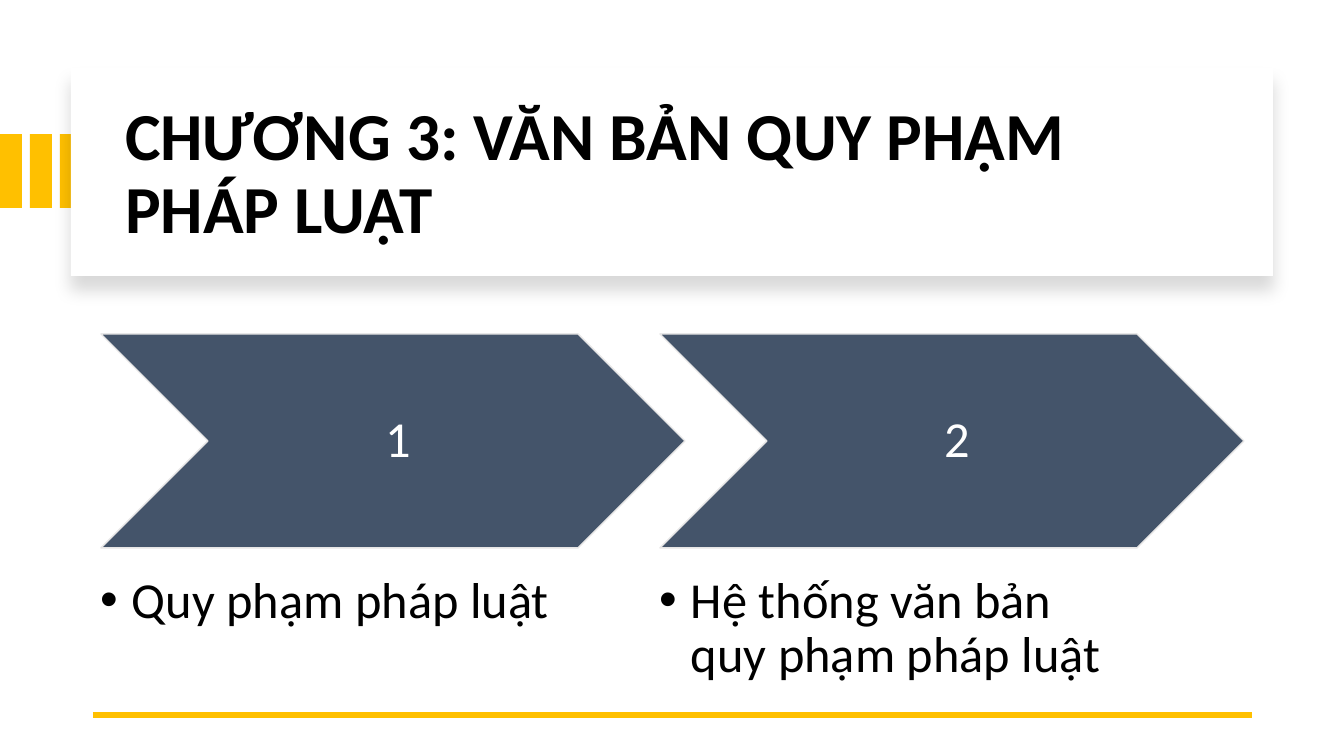
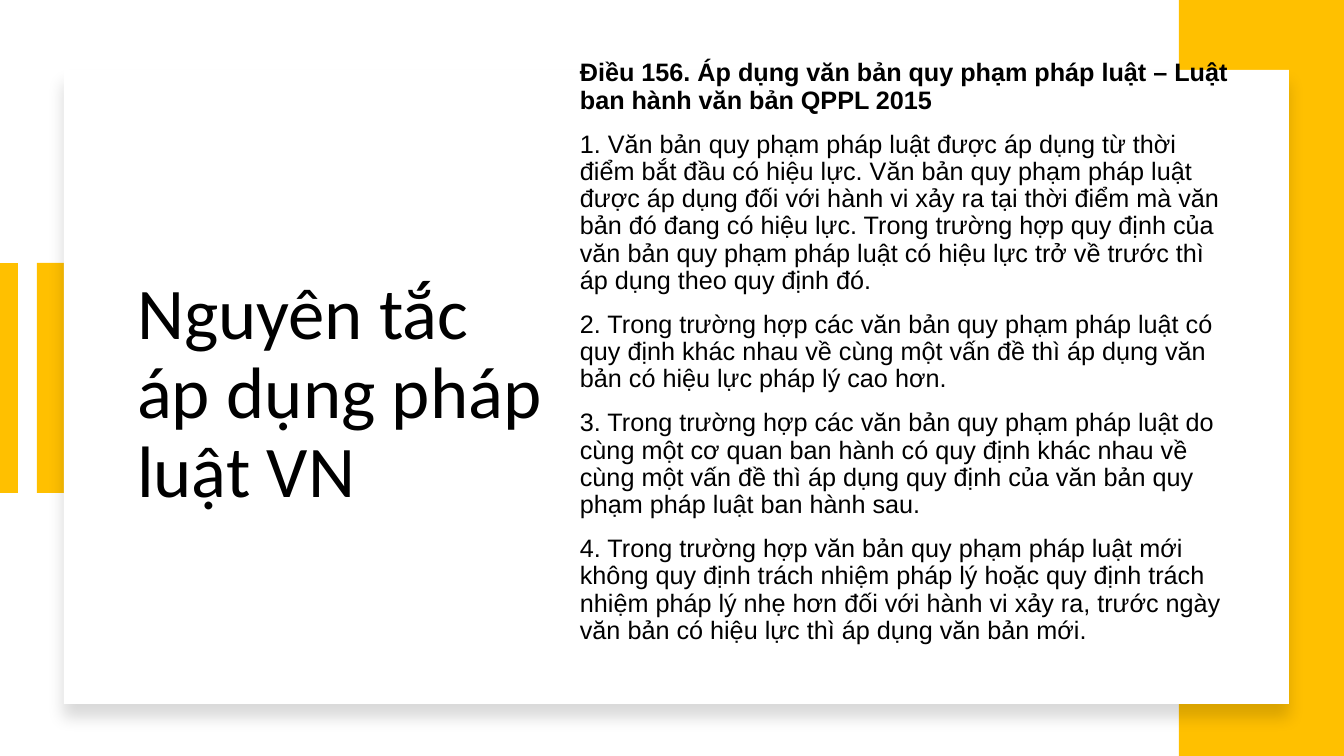
from lxml.etree import SubElement
from pptx import Presentation
from pptx.dml.color import RGBColor
from pptx.enum.shapes import MSO_CONNECTOR as LINK, MSO_SHAPE as SHAPE
from pptx.enum.text import MSO_ANCHOR as ANCHOR, MSO_AUTO_SIZE as FIT, PP_ALIGN as ALIGN
from pptx.oxml.ns import qn
from pptx.util import Pt

PX = 914400 / 100.8
GOLD = RGBColor(0xFF, 0xC0, 0x00)
SLATE = RGBColor(0x44, 0x54, 0x6A)
PALE = RGBColor(0xE7, 0xE6, 0xE6)
WHITE = RGBColor(0xFF, 0xFF, 0xFF)
BLACK = RGBColor(0x00, 0x00, 0x00)


def block(slide, box, fill, kind=SHAPE.RECTANGLE):
    """Add a filled shape with no line and no shadow; box is in pixels."""
    shape = slide.shapes.add_shape(kind, *[round(n * PX) for n in box])
    shape.shadow.inherit = False
    shape.fill.solid()
    shape.fill.fore_color.rgb = fill
    shape.line.fill.background()
    return shape


def write(shape, texts, size, color=BLACK, font="Calibri", bold=False,
          align=ALIGN.LEFT, anchor=ANCHOR.MIDDLE, gap=0):
    """Fill a shape with one paragraph per text, all in one style."""
    frame = shape.text_frame
    frame.word_wrap = True
    frame.auto_size = FIT.NONE
    frame.vertical_anchor = anchor
    for i, text in enumerate(texts):
        para = frame.paragraphs[0] if i == 0 else frame.add_paragraph()
        para.alignment = align
        para.line_spacing = 0.9
        para.space_before = para.space_after = Pt(gap)
        run = para.add_run()
        run.text = text
        run.font.name = font
        run.font.size = Pt(size)
        run.font.bold = bold
        run.font.color.rgb = color
    return frame


deck = Presentation()
deck.slide_width = round(1344 * PX)
deck.slide_height = round(756 * PX)

# Shared frame: gold bars, shadowed white card, title, gold line
looks = [
    ([(30 * i, 134, 22, 74) for i in range(3)],
     (71, 68, 1202, 208), (115, 90, 1122, 171),
     "CHƯƠNG 3: VĂN BẢN QUY PHẠM PHÁP LUẬT", 48, True,
     (93, 715, 1252, 715), 4.5),
    ([(37, 263, 34, 230), (1179, 0, 165, 756)],
     (64, 70, 1225, 634), (127, 137, 441, 516),
     "Nguyên tắc áp dụng pháp luật VN", 52, False,
     (8, 263, 8, 493), 14),
]
slides = []
for bars, card, place, name, size, bold, ends, width in looks:
    slide = deck.slides.add_slide(deck.slide_layouts[5])
    slides.append(slide)
    for bar in bars:
        block(slide, bar, GOLD)

    panel = block(slide, card, WHITE)
    effects = panel._element.spPr.find(qn("a:effectLst"))
    shadow = SubElement(effects, qn("a:outerShdw"), blurRad=str(Pt(11)),
                        dist=str(Pt(10)), dir="5400000", algn="t", rotWithShape="0")
    tint = SubElement(shadow, qn("a:srgbClr"), val="000000")
    SubElement(tint, qn("a:alpha"), val="15000")

    title = slide.shapes.title
    title.left, title.top, title.width, title.height = [round(n * PX) for n in place]
    write(title, [name], size, bold=bold)
    slide.shapes._spTree.append(title._element)

    line = slide.shapes.add_connector(LINK.STRAIGHT, *[round(n * PX) for n in ends])
    line.line.color.rgb = GOLD
    line.line.width = Pt(width)
    SubElement(line._element.spPr, qn("a:effectLst"))

# Chapter parts
first, second = slides
parts = ["Quy phạm pháp luật", "Hệ thống văn bản quy phạm pháp luật"]
for i, part in enumerate(parts):
    left = 101 + 559 * i
    arrow = block(first, (left, 334, 584, 214), SLATE, SHAPE.CHEVRON)
    arrow.line.color.rgb = PALE
    arrow.line.width = Pt(1)
    frame = write(arrow, [str(i + 1)], 36, WHITE, align=ALIGN.CENTER)
    frame.margin_left = round(16 * PX)
    frame.margin_right = frame.margin_top = frame.margin_bottom = round(5 * PX)

    label = first.shapes.add_textbox(*[round(n * PX) for n in (left, 575, 467, 112)])
    frame = write(label, [part], 36, anchor=ANCHOR.TOP)
    frame.margin_left = frame.margin_right = frame.margin_top = frame.margin_bottom = 0
    props = frame.paragraphs[0]._p.get_or_add_pPr()
    props.set("marL", str(round(31 * PX)))
    props.set("indent", str(round(-31 * PX)))
    SubElement(props, qn("a:buFont"), typeface="Arial")
    SubElement(props, qn("a:buChar"), char="•")

# Article text
rules = [
    "Điều 156. Áp dụng văn bản quy phạm pháp luật – Luật ban hành văn bản QPPL 2015",
    "1. Văn bản quy phạm pháp luật được áp dụng từ thời điểm bắt đầu có hiệu lực. "
    "Văn bản quy phạm pháp luật được áp dụng đối với hành vi xảy ra tại thời điểm mà "
    "văn bản đó đang có hiệu lực. Trong trường hợp quy định của văn bản quy phạm pháp "
    "luật có hiệu lực trở về trước thì áp dụng theo quy định đó.",
    "2. Trong trường hợp các văn bản quy phạm pháp luật có quy định khác nhau về cùng "
    "một vấn đề thì áp dụng văn bản có hiệu lực pháp lý cao hơn.",
    "3. Trong trường hợp các văn bản quy phạm pháp luật do cùng một cơ quan ban hành "
    "có quy định khác nhau về cùng một vấn đề thì áp dụng quy định của văn bản quy "
    "phạm pháp luật ban hành sau.",
    "4. Trong trường hợp văn bản quy phạm pháp luật mới không quy định trách nhiệm "
    "pháp lý hoặc quy định trách nhiệm pháp lý nhẹ hơn đối với hành vi xảy ra, trước "
    "ngày văn bản có hiệu lực thì áp dụng văn bản mới.",
]
body = second.shapes.add_textbox(*[round(n * PX) for n in (570, 52, 672, 601)])
frame = write(body, rules, 18, font="Arial", gap=6)
frame.paragraphs[0].runs[0].font.bold = True

deck.save("out.pptx")
